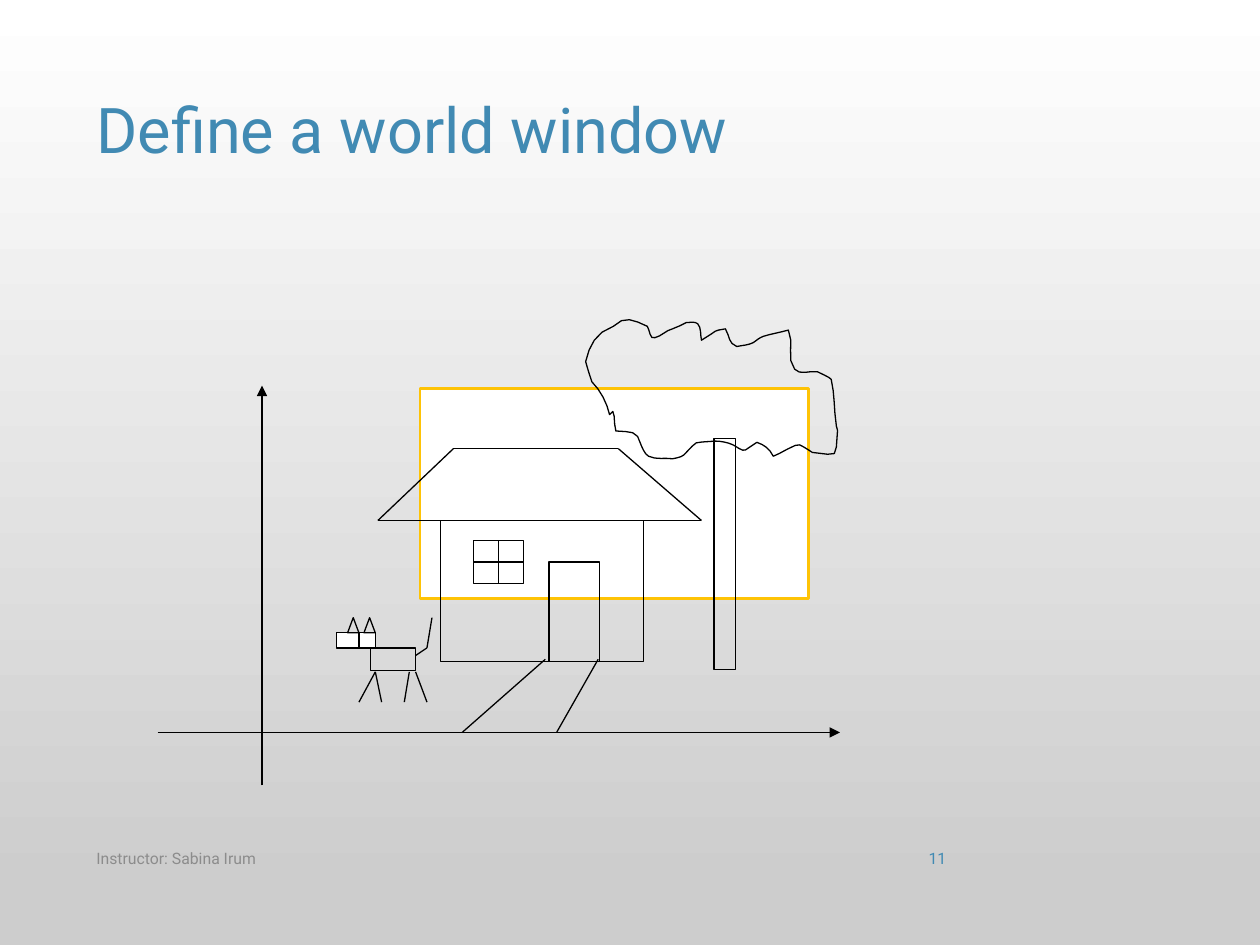
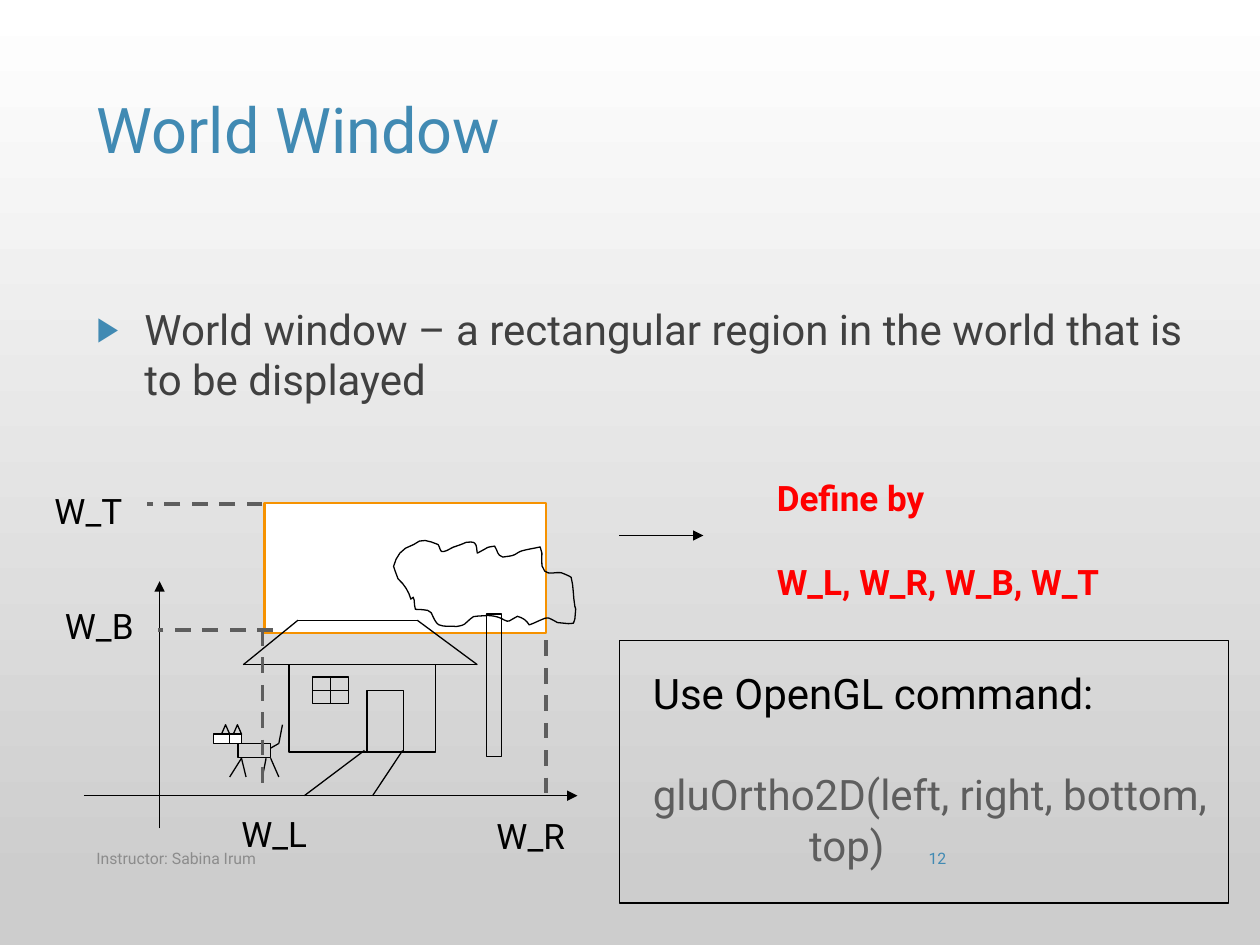
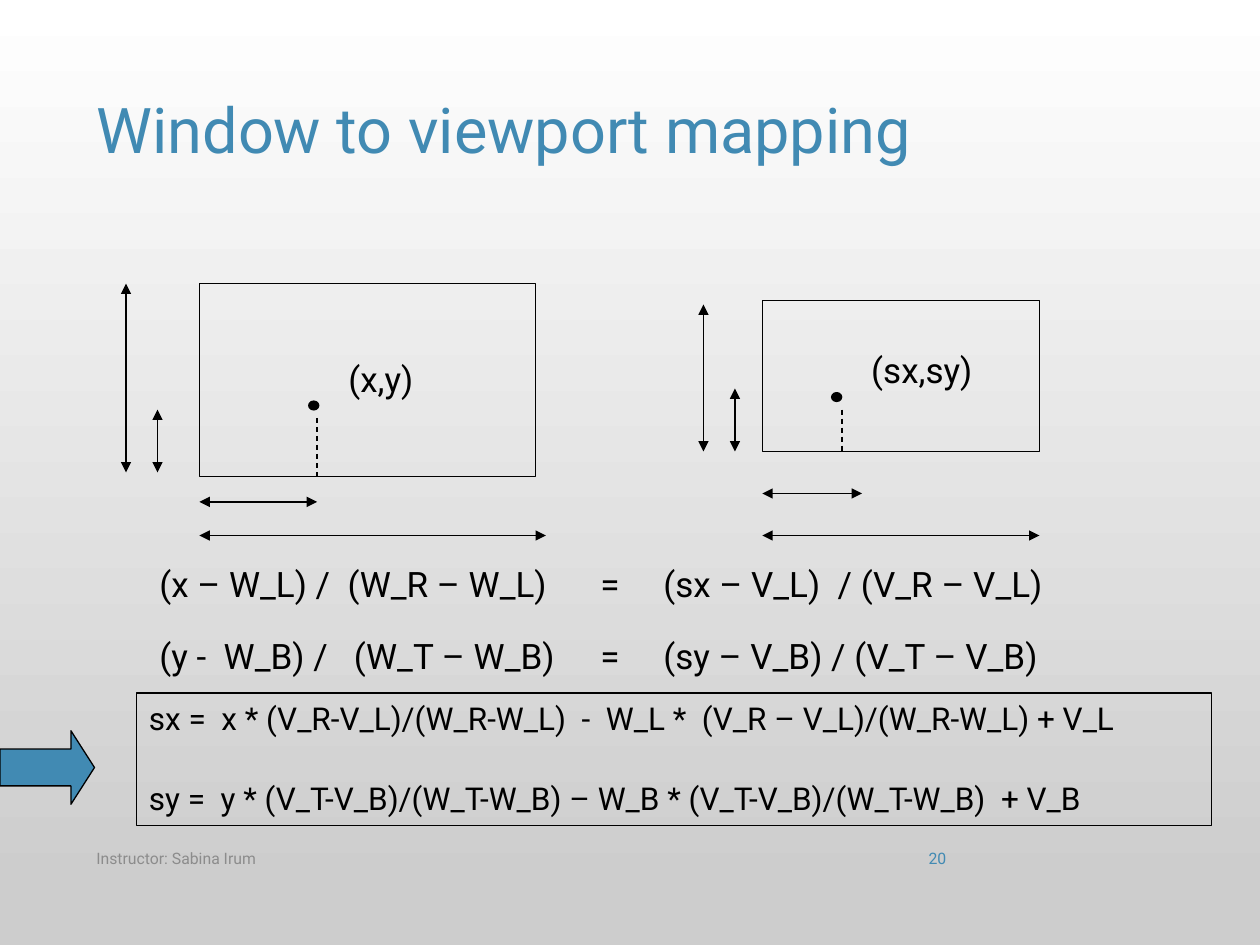
from dataclasses import dataclass

from lxml.etree import SubElement
from pptx import Presentation
from pptx.dml.color import RGBColor
from pptx.enum.dml import MSO_LINE
from pptx.enum.shapes import MSO_CONNECTOR, MSO_SHAPE
from pptx.enum.text import MSO_ANCHOR, MSO_AUTO_SIZE, PP_ALIGN
from pptx.oxml.ns import qn
from pptx.util import Inches, Pt

FONT = "Roboto"
BLACK = RGBColor(0x00, 0x00, 0x00)
WHITE = RGBColor(0xFF, 0xFF, 0xFF)
SILVER = RGBColor(0xCD, 0xCD, 0xCD)
BLUE = RGBColor(0x41, 0x8A, 0xB3)
DARK = RGBColor(0x40, 0x40, 0x40)
GRAY = RGBColor(0x5E, 0x5E, 0x5E)
FOOTER_GRAY = RGBColor(0x8C, 0x8C, 0x8C)
RED = RGBColor(0xFF, 0x00, 0x00)
YELLOW = RGBColor(0xFE, 0xC3, 0x06)
ORANGE = RGBColor(0xF6, 0x92, 0x00)

SLIDE_WIDTH, SLIDE_HEIGHT = Inches(10), Inches(7.5)
COLUMNS, ROWS = 120, 90
SCENE_COLUMNS, SCENE_ROWS = 542, 373
INSTRUCTOR = "Instructor: Sabina Irum"

HOUSE_BLOCKS = [
    (225, 163, 161, 112),
    (251, 179, 40, 34),
    (311, 196, 40, 79),
    (442, 98, 17, 183),
]
HOUSE_LINES = [
    [(225, 163), (175, 163), (235, 106), (366, 106), (432, 163), (377, 163)],
    [(251, 196), (291, 196)],
    [(271, 179), (271, 213)],
    [(308, 273), (242, 331)],
    [(350, 273), (317, 331)],
]
DOG_LINES = [
    [(160, 307), (173, 283), (178, 307)],
    [(200, 283), (196, 307)],
    [(205, 283), (214, 307)],
    [(205, 270), (214, 264), (218, 240)],
]
SMOKE_START = (359, 79)
SMOKE_CURVES = [
    (357, 70, 352, 60, 345, 53), (341, 41, 343, 47, 340, 37),
    (343, 24, 348, 14, 362, 9), (371, 0, 378, 4, 389, 9),
    (391, 12, 391, 20, 395, 18), (400, 17, 404, 12, 409, 11),
    (416, 8, 412, 10, 420, 6), (423, 6, 427, 5, 429, 7),
    (432, 10, 431, 16, 432, 20), (447, 11, 440, 13, 451, 11),
    (455, 18, 453, 22, 460, 25), (465, 24, 469, 24, 473, 22),
    (476, 20, 478, 18, 481, 17), (487, 15, 494, 14, 501, 12),
    (506, 22, 499, 35, 506, 43), (510, 48, 518, 44, 524, 45),
    (524, 45, 535, 50, 535, 51), (538, 63, 537, 75, 539, 87),
    (539, 89, 540, 90, 540, 92), (538, 115, 542, 111, 520, 109),
    (517, 107, 514, 105, 510, 103), (508, 101, 493, 111, 489, 112),
    (486, 106, 482, 103, 476, 101), (473, 103, 470, 105, 467, 107),
    (465, 109, 458, 103, 457, 103), (453, 101, 447, 100, 443, 100),
    (423, 102, 431, 98, 418, 111), (416, 113, 409, 114, 409, 114),
    (403, 113, 396, 115, 390, 112), (387, 111, 384, 103, 384, 103),
    (381, 91, 376, 93, 364, 92), (362, 87, 364, 70, 359, 79),
]


@dataclass
class Box:
    """A region of the slide with its own grid of columns and rows."""
    left: float
    top: float
    width: float
    height: float
    columns: float = 0
    rows: float = 0

    def size(self, width, height):
        """Turn a size in this grid into slide lengths."""
        return (round(width / (self.columns or self.width) * self.width * SLIDE_WIDTH / COLUMNS),
                round(height / (self.rows or self.height) * self.height * SLIDE_HEIGHT / ROWS))

    def point(self, column, row):
        """Turn a grid position into slide lengths."""
        x, y = self.size(column, row)
        return (x + round(self.left * SLIDE_WIDTH / COLUMNS),
                y + round(self.top * SLIDE_HEIGHT / ROWS))

    def area(self, left, top, width, height):
        """Turn a grid rectangle into left, top, width and height."""
        return (*self.point(left, top), *self.size(width, height))

    def whole(self):
        """Return the outline of the box itself."""
        return self.area(0, 0, self.columns or self.width, self.rows or self.height)


PAGE = Box(0, 0, COLUMNS, ROWS)


def add_text(frame, text, size=20, color=BLACK, bold=False, align=PP_ALIGN.LEFT,
             before=0, indent=0, hanging=0, tabs=()):
    """Write one formatted paragraph into a text frame."""
    paragraph = frame.paragraphs[0]
    if paragraph.runs:
        paragraph = frame.add_paragraph()
    paragraph.alignment = align
    paragraph.space_before = Pt(before)
    properties = paragraph._p.get_or_add_pPr()
    properties.set("marL", str(Inches(indent)))
    properties.set("indent", str(-Inches(hanging)))
    if tabs:
        tab_list = SubElement(properties, qn("a:tabLst"))
        for position in tabs:
            SubElement(tab_list, qn("a:tab"), pos=str(Inches(position)), algn="l")
    run = paragraph.add_run()
    run.text = text
    font = run.font
    font.name, font.size, font.bold = FONT, Pt(size), bold
    font.color.rgb = color
    return paragraph


def fit_frame(shape):
    """Make a shape grow with its unwrapped text and return its frame."""
    frame = shape.text_frame
    frame.word_wrap = False
    frame.auto_size = MSO_AUTO_SIZE.SHAPE_TO_FIT_TEXT
    frame.vertical_anchor = MSO_ANCHOR.TOP
    return frame


def add_label(slide, area, text, **text_format):
    """Add a free text label and return its frame."""
    frame = fit_frame(slide.shapes.add_textbox(*area))
    add_text(frame, text, **text_format)
    return frame


def style_shape(shape, fill=None, line=BLACK, weight=0.75):
    """Give a shape its fill and outline without a shadow."""
    shape.shadow.inherit = False
    if fill is None:
        shape.fill.background()
    else:
        shape.fill.solid()
        shape.fill.fore_color.rgb = fill
    shape.line.color.rgb = line
    shape.line.width = Pt(weight)
    return shape


def add_block(slide, area, kind=MSO_SHAPE.RECTANGLE, **style):
    """Add a styled preset shape."""
    return style_shape(slide.shapes.add_shape(kind, *area), **style)


def add_line(slide, start, end, color=BLACK, weight=0.75, dashed=False, arrows=()):
    """Add a straight line with optional dashes and arrowheads."""
    connector = slide.shapes.add_connector(MSO_CONNECTOR.STRAIGHT, *start, *end)
    connector.line.color.rgb = color
    connector.line.width = Pt(weight)
    if dashed:
        connector.line.dash_style = MSO_LINE.DASH
    for name in arrows:
        SubElement(connector.line._get_or_add_ln(), qn(f"a:{name}"), type="triangle")
    SubElement(connector._element.spPr, qn("a:effectLst"))


def add_polyline(slide, box, points):
    """Join grid points with straight lines."""
    for start, end in zip(points, points[1:]):
        add_line(slide, box.point(*start), box.point(*end))


def set_background(presentation):
    """Put the shared gradient on the slide master."""
    fill = presentation.slide_master.background.fill
    fill.gradient()
    fill.gradient_angle = 270
    for stop, color, position in zip(fill.gradient_stops, (WHITE, SILVER), (0, 0.94)):
        stop.color.rgb = color
        stop.position = position


def place(shape, area):
    """Move and size a placeholder and return its top-anchored frame."""
    shape.left, shape.top, shape.width, shape.height = area
    frame = shape.text_frame
    frame.word_wrap = True
    frame.auto_size = MSO_AUTO_SIZE.NONE
    frame.vertical_anchor = MSO_ANCHOR.TOP
    return frame


def add_slide(presentation, title, layout="Title Only"):
    """Add a slide with the shared title style."""
    slide = presentation.slides.add_slide(presentation.slide_layouts.get_by_name(layout))
    frame = place(slide.shapes.title, PAGE.area(8, 8, 83.3, 17.3))
    add_text(frame, title, size=36, color=BLUE)
    return slide


def add_footer(slide, number):
    """Add the instructor and the slide number."""
    parts = [
        (8, 60.7, INSTRUCTOR, FOOTER_GRAY, PP_ALIGN.LEFT),
        (84.6, 6.7, str(number), BLUE, PP_ALIGN.RIGHT),
    ]
    for left, width, text, color, align in parts:
        frame = slide.shapes.add_textbox(*PAGE.area(left, 79.3, width, 4.8)).text_frame
        frame.word_wrap = True
        frame.vertical_anchor = MSO_ANCHOR.MIDDLE
        add_text(frame, text, size=9, color=color, align=align)


def draw_smoke(slide, box):
    """Draw the smoke outline from its cubic curves."""
    points, (x0, y0) = [], SMOKE_START
    for x1, y1, x2, y2, x3, y3 in SMOKE_CURVES:
        for t in (0.25, 0.5, 0.75, 1):
            a, b, c, d = (1 - t) ** 3, 3 * t * (1 - t) ** 2, 3 * t * t * (1 - t), t ** 3
            points.append(box.point(a * x0 + b * x1 + c * x2 + d * x3,
                                    a * y0 + b * y1 + c * y2 + d * y3))
        x0, y0 = x3, y3
    builder = slide.shapes.build_freeform(*box.point(*SMOKE_START))
    builder.add_line_segments(points, close=True)
    style_shape(builder.convert_to_shape())


def draw_dog(slide, box):
    """Draw the dog beside the house."""
    add_block(slide, box.area(169, 264, 36, 18))
    for left, width in ((142, 18), (160, 13)):
        add_block(slide, box.area(left, 252, width, 12), fill=WHITE)
    for points in DOG_LINES:
        add_polyline(slide, box, points)
    for left in (151, 164):
        add_block(slide, box.area(left, 240, 9, 12), MSO_SHAPE.ISOSCELES_TRIANGLE)


def draw_scene(slide, left, top, width, height):
    """Draw the axes, house, smoke and dog inside a box."""
    box = Box(left, top, width, height, SCENE_COLUMNS, SCENE_ROWS)
    for start, end in (((0, 331), (542, 331)), ((83, 373), (83, 56))):
        add_line(slide, box.point(*start), box.point(*end), arrows=["tailEnd"])
    for block in HOUSE_BLOCKS:
        add_block(slide, box.area(*block))
    for points in HOUSE_LINES:
        add_polyline(slide, box, points)
    draw_smoke(slide, box)
    draw_dog(slide, box)


def draw_window_limits(slide):
    """Mark the four limits of the world window."""
    limits = [
        ("W_L", (25, 60), (25, 75), (21.8, 76.8)),
        ("W_R", (52, 61), (52, 76), (46.1, 77)),
        ("W_B", (26, 60), (15, 60), (5, 57)),
        ("W_T", (25, 48), (14, 48), (4, 46)),
    ]
    for text, start, end, corner in limits:
        add_line(slide, PAGE.point(*start), PAGE.point(*end), GRAY, 2.25, dashed=True)
        add_label(slide, PAGE.area(*corner, 9.2, 5.2), text)


def draw_command(slide, box):
    """Draw the framed command."""
    frame = add_label(slide, box.area(2, 2, 57.8, 20.4), "Use OpenGL command:", size=24)
    add_text(frame, "gluOrtho2D(left, right, bottom,", size=24, color=GRAY, before=29)
    add_text(frame, "top)", size=24, color=GRAY, indent=1.24)
    add_block(slide, box.whole())


def draw_mapping_area(slide, box, label, label_area, dot, foot, tall, short, narrow, wide):
    """Draw a rectangle with its point and the measures around it."""
    add_block(slide, box.whole())
    add_block(slide, box.area(*dot, 0.96, 0.84), MSO_SHAPE.OVAL, fill=BLACK)
    add_label(slide, box.area(*label_area), label)
    add_line(slide, box.point(*foot), box.point(foot[0], box.height), dashed=True)
    for start, end in (tall, short, narrow, wide):
        add_line(slide, box.point(*start), box.point(*end), arrows=["headEnd", "tailEnd"])


def draw_result(slide, box):
    """Draw the block arrow and the framed final formulas."""
    arrow = add_block(slide, box.area(0, 3.6, 9, 7), MSO_SHAPE.RIGHT_ARROW, fill=BLUE)
    arrow.adjustments[1] = 0.32
    frame = fit_frame(add_block(slide, box.area(13, 0, 102.4, 12.6)))
    add_text(frame, "sx =  x * (V_R-V_L)/(W_R-W_L)  -  W_L *  (V_R – V_L)/(W_R-W_L) + V_L", size=18)
    add_text(frame, "sy =  y * (V_T-V_B)/(W_T-W_B) – W_B * (V_T-V_B)/(W_T-W_B)  + V_B",
             size=18, before=24)


def build_define_slide(presentation):
    """Build the slide that shows a window over the scene."""
    slide = add_slide(presentation, "Define a world window")
    add_block(slide, PAGE.area(40, 37, 37, 20), fill=WHITE, line=YELLOW, weight=1.5)
    draw_scene(slide, 15, 30, 65, 44.8)
    add_footer(slide, 11)


def build_window_slide(presentation):
    """Build the slide that names the window limits."""
    slide = add_slide(presentation, "World Window", "Title and Content")
    frame = place(slide.placeholders[1], PAGE.area(8, 28.3, 106, 50.9))
    paragraph = add_text(
        frame, "World window – a rectangular region in the world that is to be displayed",
        size=24, color=DARK, before=10, indent=0.38, hanging=0.38)
    properties = paragraph._p.pPr
    SubElement(SubElement(properties, qn("a:buClr")), qn("a:srgbClr"), val=str(BLUE))
    SubElement(properties, qn("a:buSzPct"), val="80000")
    SubElement(properties, qn("a:buChar"), char="▶")
    add_block(slide, PAGE.area(25.2, 47.9, 26.8, 12.4), fill=WHITE, line=ORANGE, weight=1.5)
    draw_scene(slide, 8, 51.2, 47, 27.7)
    add_line(slide, PAGE.point(59, 51), PAGE.point(67, 51), arrows=["tailEnd"])
    frame = add_label(slide, PAGE.area(72.8, 44.8, 39.7, 13.3), "Define by", color=RED, bold=True)
    add_text(frame, "W_L, W_R, W_B, W_T", color=RED, bold=True, before=24)
    draw_window_limits(slide)
    draw_command(slide, Box(59, 61, 58, 25))
    add_footer(slide, 12)


def build_mapping_slide(presentation):
    """Build the slide that maps the window to the viewport."""
    slide = add_slide(presentation, "Window to viewport mapping")
    frame = add_label(slide, PAGE.area(14, 53, 97.7, 12),
                      "(x – W_L) /  (W_R – W_L)\t=\t(sx – V_L)  / (V_R – V_L)", tabs=(3.47, 4.03))
    add_text(frame, "(y -  W_B) /   (W_T – W_B)\t=\t(sy – V_B) / (V_T – V_B)",
             before=17, tabs=(3.49, 3.98))
    draw_mapping_area(
        slide, Box(19, 27, 32, 18.4), "(x,y)", (13, 6.5, 9.2, 5.2), dot=(10.4, 11.2),
        foot=(11.2, 12.8), tall=((-7, 0), (-7, 18)), short=((-4, 12), (-4, 18)),
        narrow=((0, 20.8), (11.2, 20.8)), wide=((0, 24), (33, 24)))
    draw_mapping_area(
        slide, Box(72.6, 28.6, 26.4, 14.4), "(sx,sy)", (9.2, 4, 12.2, 5.2), dot=(6.6, 8.8),
        foot=(7.6, 10.4), tall=((-5.6, 0.4), (-5.6, 14.4)), short=((-2.6, 8.4), (-2.6, 14.4)),
        narrow=((0, 18.4), (9.5, 18.4)), wide=((0, 22.4), (26.4, 22.4)))
    draw_result(slide, Box(0, 66, COLUMNS, 12.6))
    add_footer(slide, 20)


def main():
    """Build the presentation and save it."""
    presentation = Presentation()
    presentation.slide_width, presentation.slide_height = SLIDE_WIDTH, SLIDE_HEIGHT
    set_background(presentation)
    build_define_slide(presentation)
    build_window_slide(presentation)
    build_mapping_slide(presentation)
    presentation.save("out.pptx")


if __name__ == "__main__":
    main()
